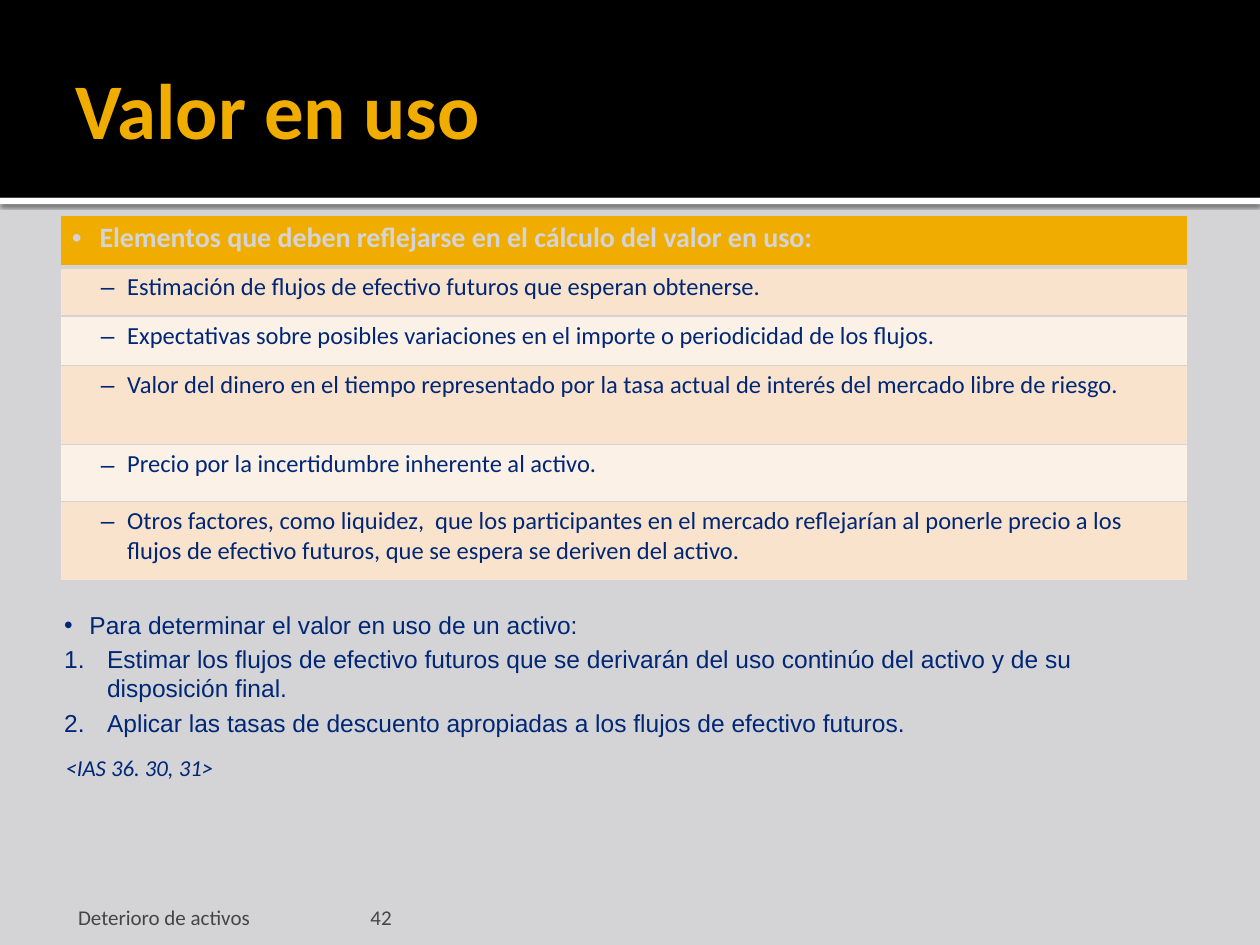
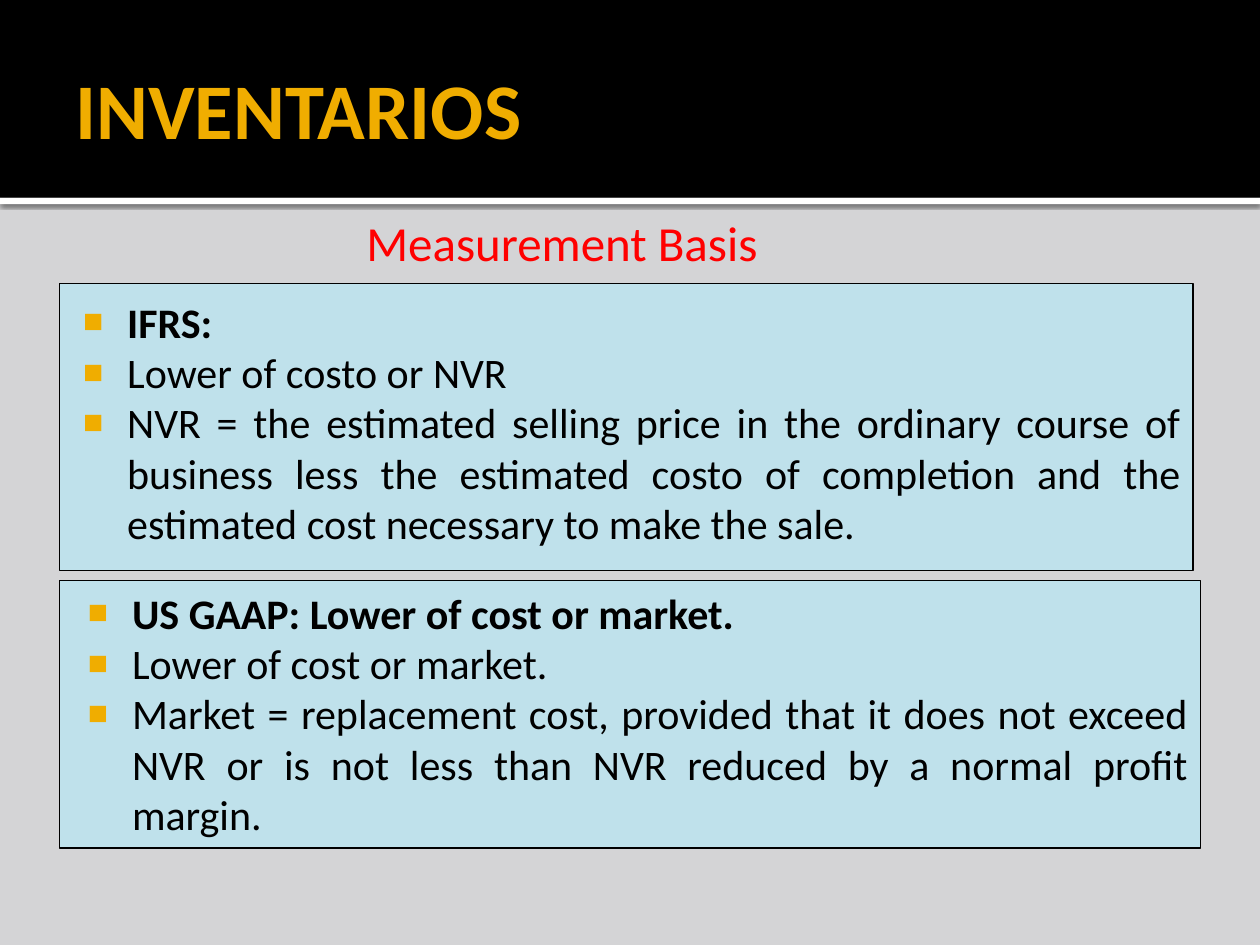
from lxml import etree
from pptx import Presentation
from pptx.dml.color import RGBColor
from pptx.enum.shapes import MSO_SHAPE
from pptx.enum.text import MSO_ANCHOR, PP_ALIGN
from pptx.oxml.ns import qn
from pptx.util import Inches, Pt

# Enum members
RECTANGLE = MSO_SHAPE.RECTANGLE
TOP, MIDDLE, BOTTOM = MSO_ANCHOR.TOP, MSO_ANCHOR.MIDDLE, MSO_ANCHOR.BOTTOM
LEFT, JUSTIFY = PP_ALIGN.LEFT, PP_ALIGN.JUSTIFY

# Colours
GREY = RGBColor(0xD4, 0xD4, 0xD6)
BLACK = RGBColor(0, 0, 0)
WHITE = RGBColor(0xFF, 0xFF, 0xFF)
AMBER = RGBColor(0xF0, 0xAD, 0x00)
NAVY = RGBColor(0x00, 0x27, 0x76)
FOOTER_GREY = RGBColor(0x45, 0x45, 0x45)
PEACH = RGBColor(0xF9, 0xE3, 0xCC)
CREAM = RGBColor(0xFC, 0xF1, 0xE7)
PALE_BLUE = RGBColor(0xBF, 0xE1, 0xEB)
RED = RGBColor(0xFF, 0, 0)

# Grid of 100 columns by 75 rows
SLIDE_WIDTH, SLIDE_HEIGHT = Inches(10), Inches(7.5)
COLUMN, ROW = SLIDE_WIDTH / 100, SLIDE_HEIGHT / 75
TITLE_ROWS = 15.7
BODY_INSETS = (0.1, 0.05, 0.1, 0.05)
TIGHT_INSETS = (0.09, 0.04, 0.09, 0.04)
FOOTER_INSETS = (0.05, 0.04, 0.05, 0)


def place(column, row, columns, rows):
    return (round(column * COLUMN), round(row * ROW),
            round(columns * COLUMN), round(rows * ROW))


def add_xml(parent, tag, **attributes):
    child = etree.SubElement(parent, qn(tag))
    for name, value in attributes.items():
        child.set(name, str(value))
    return child


def set_insets(target, insets):
    (target.margin_left, target.margin_top,
     target.margin_right, target.margin_bottom) = map(Inches, insets)


def add_bullet(paragraph, bullet, indent, color=None, percent=None):
    """Hang a bullet sign, or a number when bullet is '1.'."""
    left, first = indent
    properties = paragraph._p.get_or_add_pPr()
    properties.set("marL", str(Inches(left)))
    properties.set("indent", str(Inches(first)))
    if color is not None:
        add_xml(add_xml(properties, "a:buClr"), "a:srgbClr", val=color)
    if percent:
        add_xml(properties, "a:buSzPct", val=percent * 1000)
    add_xml(properties, "a:buFont", typeface="Arial")
    if bullet == "1.":
        add_xml(properties, "a:buAutoNum", type="arabicPeriod")
    else:
        add_xml(properties, "a:buChar", char=bullet)


def write(frame, text, size, color, font="Calibri", bold=False, italic=False,
          align=LEFT, after=None, spacing=None, **bullet):
    """Add one formatted paragraph, using the empty first one if it is free."""
    paragraph = frame.paragraphs[0]
    if paragraph.runs:
        paragraph = frame.add_paragraph()
    if bullet:
        add_bullet(paragraph, **bullet)
    paragraph.alignment = align
    if after is not None:
        paragraph.space_after = Pt(after)
    if spacing:
        paragraph.line_spacing = spacing
    run = paragraph.add_run()
    run.text = text
    run.font.name, run.font.size = font, Pt(size)
    run.font.bold, run.font.italic = bold, italic
    run.font.color.rgb = color


def add_panel(slide, area, fill, outline=None, insets=BODY_INSETS):
    panel = slide.shapes.add_shape(RECTANGLE, *place(*area))
    panel.shadow.inherit = False
    panel.fill.solid()
    panel.fill.fore_color.rgb = fill
    if outline is None:
        panel.line.fill.background()
    else:
        panel.line.color.rgb = outline
        panel.line.width = Pt(0.75)
    frame = panel.text_frame
    frame.word_wrap = True
    frame.vertical_anchor = TOP
    set_insets(frame, insets)
    return panel


def add_label(slide, area, text, insets=BODY_INSETS, anchor=TOP, wrap=True,
              **style):
    frame = slide.shapes.add_textbox(*place(*area)).text_frame
    frame.word_wrap = wrap
    frame.vertical_anchor = anchor
    set_insets(frame, insets)
    write(frame, text, **style)


def add_shared_bands(layout, slide):
    """Draw the title band and its white edge, then move them to the layout."""
    edge = add_panel(slide, (0, TITLE_ROWS, 100, 0.5), WHITE)
    effects = edge._element.spPr.find(qn("a:effectLst"))
    shadow = add_xml(effects, "a:outerShdw", blurRad=Pt(2.5), dist=Pt(0.8),
                     dir=90 * 60000, algn="t", rotWithShape=0)
    shadow_color = add_xml(shadow, "a:srgbClr", val=BLACK)
    add_xml(shadow_color, "a:alpha", val=60000)
    band = add_panel(slide, (0, 0, 100, TITLE_ROWS), BLACK)
    for position, part in enumerate((edge, band), start=2):
        layout.shapes.element.insert(position, part._element)
    layout.background.fill.solid()
    layout.background.fill.fore_color.rgb = GREY


def add_titled_slide(deck, layout, text):
    slide = deck.slides.add_slide(layout)
    title = slide.shapes.title
    title.left, title.top, title.width, title.height = place(5, 1.7, 90, 13.7)
    frame = title.text_frame
    frame.vertical_anchor = MIDDLE
    set_insets(frame, (0.1, 0.05, 0.05, 0.05))
    write(frame, text, size=45, color=AMBER, bold=True)
    return slide


def set_borders(cell, **widths):
    properties = cell._tc.get_or_add_tcPr()
    for position, side in enumerate("LRTB"):
        line = etree.Element(qn(f"a:ln{side}"), w=str(Pt(widths.get(side, 1))))
        add_xml(add_xml(line, "a:solidFill"), "a:srgbClr", val=GREY)
        properties.insert(position, line)


def add_elements_table(slide, heading, elements, row_heights):
    area = place(4.8, 17.1, 89.5, sum(row_heights))
    table = slide.shapes.add_table(len(row_heights), 1, *area).table
    for index, text in enumerate([heading, *elements]):
        table.rows[index].height = round(row_heights[index] * ROW)
        cell = table.cell(index, 0)
        set_insets(cell, TIGHT_INSETS)
        cell.fill.solid()
        if index == 0:
            cell.fill.fore_color.rgb = AMBER
            set_borders(cell, B=3)
            write(cell.text_frame, text, size=16, color=GREY, bold=True,
                  after=3, bullet="•", indent=(0.22, -0.22))
        else:
            cell.fill.fore_color.rgb = PEACH if index % 2 else CREAM
            set_borders(cell, T=3 if index == 1 else 1)
            write(cell.text_frame, text, size=14, color=NAVY,
                  after=3, bullet="‒", indent=(0.44, -0.21))


def add_standard_panel(slide, area, name, rule, definition, insets):
    """Show one accounting standard with its rule and definition."""
    frame = add_panel(slide, area, PALE_BLUE, BLACK, insets).text_frame
    style = dict(size=24, color=BLACK)
    square = dict(bullet="■", indent=(0.48, -0.35))
    for text, bold, align in ((name, True, LEFT), (rule, False, LEFT),
                              (definition, False, JUSTIFY)):
        write(frame, text, bold=bold, align=align, **style)
        add_bullet(frame.paragraphs[-1], color=AMBER, percent=80, **square)


def build_value_in_use(slide):
    # Footer
    footer = dict(insets=FOOTER_INSETS, anchor=BOTTOM, size=12,
                  color=FOOTER_GREY)
    add_label(slide, (28.9, 70.8, 60.2, 3), "42", **footer)
    add_label(slide, (5.7, 70.8, 22.6, 3), "Deterioro de activos", **footer)

    # Elements of the calculation
    add_elements_table(
        slide,
        "Elementos que deben reflejarse en el cálculo del valor en uso:",
        ["Estimación de flujos de efectivo futuros que esperan obtenerse.",
         "Expectativas sobre posibles variaciones en el importe o "
         "periodicidad de los flujos.",
         "Valor del dinero en el tiempo representado por la tasa actual de "
         "interés del mercado libre de riesgo.",
         "Precio por la incertidumbre inherente al activo.",
         "Otros factores, como liquidez,  que los participantes en el mercado "
         "reflejarían al ponerle precio a los flujos de efectivo futuros, "
         "que se espera se deriven del activo."],
        [4.1, 3.9, 3.9, 6.3, 4.5, 6.3])

    # Source and steps
    add_label(slide, (4.3, 59.7, 18.2, 2.9), "<IAS 36. 30, 31>",
              insets=TIGHT_INSETS, size=13, color=NAVY, italic=True,
              spacing=0.9)
    steps = add_panel(slide, (4.2, 48, 91, 11.5), GREY, insets=TIGHT_INSETS)
    style = dict(size=14, color=NAVY, font="Arial", after=2.7)
    write(steps.text_frame, "Para determinar el valor en uso de un activo:",
          bullet="•", indent=(0.2, -0.2), **style)
    for step in ("Estimar los flujos de efectivo futuros que se derivarán del "
                 "uso continúo del activo y de su disposición final.",
                 "Aplicar las tasas de descuento apropiadas a los flujos de "
                 "efectivo futuros."):
        write(steps.text_frame, step, bullet="1.", indent=(0.34, -0.34),
              **style)


def build_inventories(slide):
    add_label(slide, (28.1, 16.4, 33.8, 5.7), "Measurement Basis", wrap=False,
              size=28, color=RED)
    add_standard_panel(
        slide, (4.7, 22.5, 90, 22.8), "IFRS:", "Lower of costo or NVR",
        "NVR = the estimated selling price in the ordinary course of business "
        "less the estimated costo of completion and the estimated cost "
        "necessary to make the sale.", (0.06, 0.1, 0.1, 0.05))
    add_standard_panel(
        slide, (4.7, 46.1, 90.6, 21.2), "US GAAP: Lower of cost or market.",
        "Lower of cost or market.",
        "Market = replacement cost, provided that it does not exceed NVR or "
        "is not less than NVR reduced by a normal profit margin.",
        BODY_INSETS)


def main():
    deck = Presentation()
    deck.slide_width, deck.slide_height = SLIDE_WIDTH, SLIDE_HEIGHT
    layout = deck.slide_layouts.get_by_name("Title Only")
    value_in_use = add_titled_slide(deck, layout, "Valor en uso")
    inventories = add_titled_slide(deck, layout, "INVENTARIOS")
    add_shared_bands(layout, value_in_use)
    build_value_in_use(value_in_use)
    build_inventories(inventories)
    deck.save("out.pptx")


if __name__ == "__main__":
    main()
